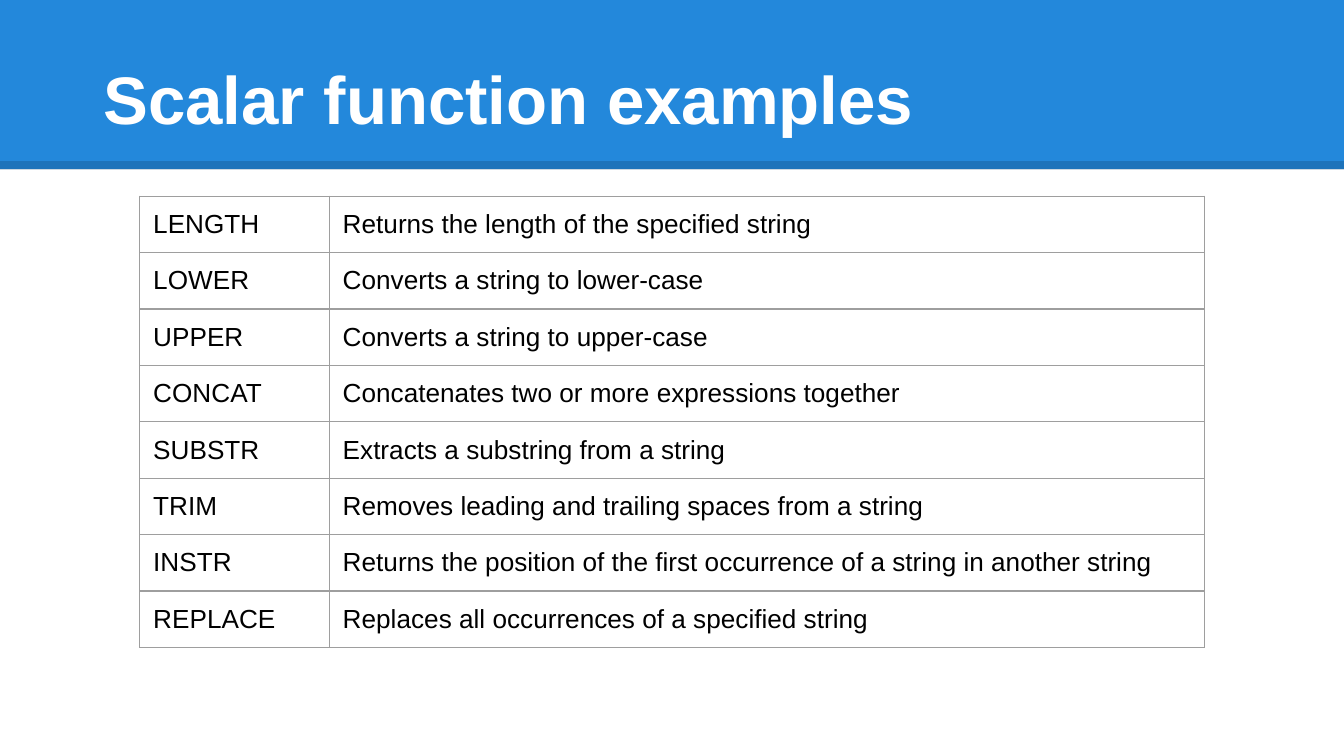
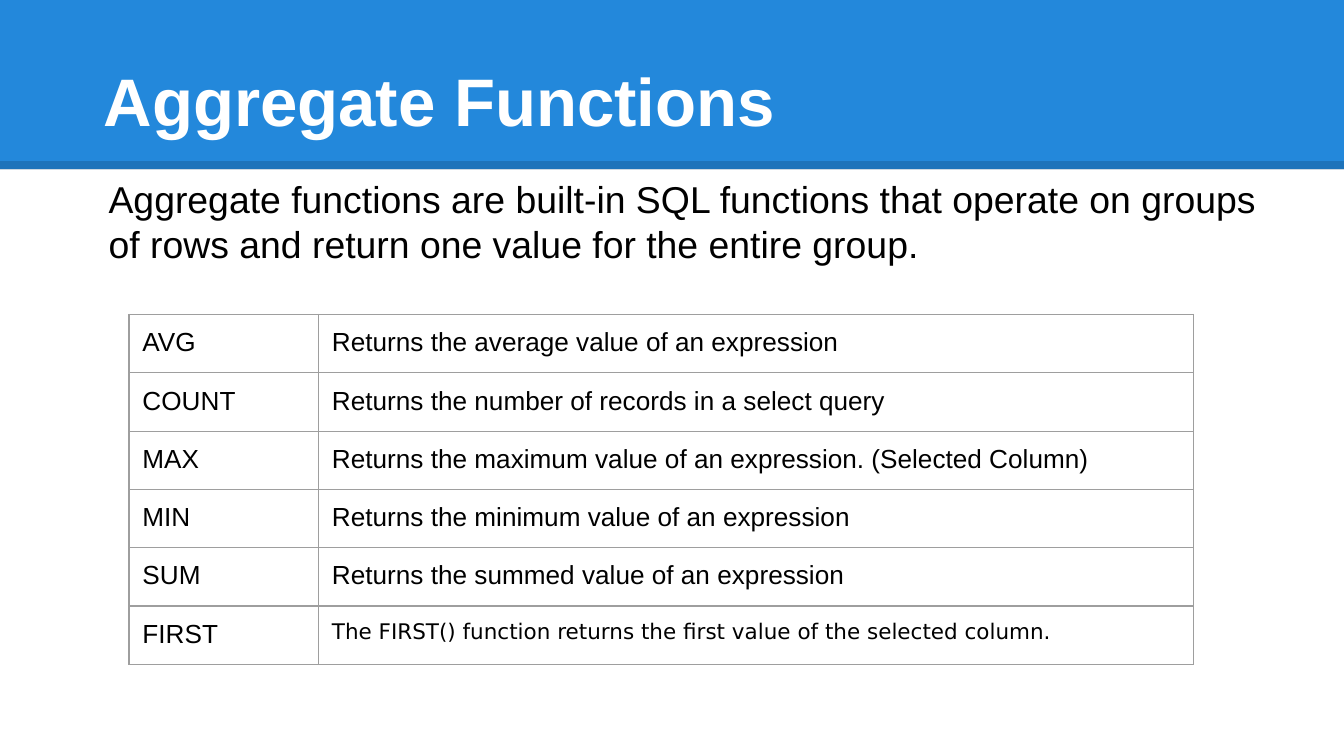
import pptx
import pptx.util
import pptx.dml.color
import pptx.enum.shapes
import pptx.enum.text
import pptx.oxml.ns
import lxml.etree

Inches = pptx.util.Inches
Pt = pptx.util.Pt
RGBColor = pptx.dml.color.RGBColor
qn = pptx.oxml.ns.qn

BLUE = RGBColor(0x23, 0x88, 0xDB)
BLACK = RGBColor(0x00, 0x00, 0x00)
WHITE = RGBColor(0xFF, 0xFF, 0xFF)
BORDER_GRAY = RGBColor(0x9E, 0x9E, 0x9E)

FONT = "Arial"
SLIDE_WIDTH = 10
SLIDE_HEIGHT = SLIDE_WIDTH * 9 / 16
COLUMN_WIDTHS = (1.41, 6.51)
ROW_HEIGHT = 0.42
CELL_MARGIN = 0.1
CELL_STYLE = (FONT, 14)
FIRST_STYLE = ("DejaVu Sans", 11.5)

SCALAR_FUNCTIONS = [
    ("LENGTH", "Returns the length of the specified string"),
    ("LOWER", "Converts a string to lower-case"),
    ("UPPER", "Converts a string to upper-case"),
    ("CONCAT", "Concatenates two or more expressions together"),
    ("SUBSTR", "Extracts a substring from a string"),
    ("TRIM", "Removes leading and trailing spaces from a string"),
    ("INSTR", "Returns the position of the first occurrence of a string in another string"),
    ("REPLACE", "Replaces all occurrences of a specified string"),
]
FIRST_DESCRIPTION = "The FIRST() function returns the first value of the selected column."
AGGREGATE_FUNCTIONS = [
    ("AVG", "Returns the average value of an expression"),
    ("COUNT", "Returns the number of records in a select query"),
    ("MAX", "Returns the maximum value of an expression. (Selected Column)"),
    ("MIN", "Returns the minimum value of an expression"),
    ("SUM", "Returns the summed value of an expression"),
    ("FIRST", FIRST_DESCRIPTION),
]
AGGREGATE_INTRO = (
    "Aggregate functions are built-in SQL functions that operate on groups "
    "of rows and return one value for the entire group."
)


def add_run(paragraph, text, size, color=BLACK, bold=False, font=FONT):
    run = paragraph.add_run()
    run.text = text
    run.font.name = font
    run.font.size = Pt(size)
    run.font.bold = bold
    run.font.color.rgb = color


def add_header_band(slide, width, height):
    """Draw the header once and move it to the layout that all slides share."""
    band = slide.shapes.add_shape(
        pptx.enum.shapes.MSO_SHAPE.RECTANGLE, 0, 0, Inches(width), Inches(height))
    band.shadow.inherit = False
    band.fill.solid()
    band.fill.fore_color.rgb = BLUE
    band.line.fill.background()

    # Translucent black edge along the bottom of the band
    edge_y = Inches(height - 0.03)
    edge = slide.shapes.add_connector(
        pptx.enum.shapes.MSO_CONNECTOR.STRAIGHT, 0, edge_y, Inches(width), edge_y)
    edge.line.width = Pt(4.5)
    edge.line.color.rgb = BLACK
    edge_color = edge.element.spPr.find(".//" + qn("a:srgbClr"))
    lxml.etree.SubElement(edge_color, qn("a:alpha"), val="15000")
    lxml.etree.SubElement(edge.element.spPr, qn("a:effectLst"))

    layout_tree = slide.slide_layout.shapes.element
    layout_tree.insert(2, band.element)
    layout_tree.insert(3, edge.element)


def set_title(slide, text, top):
    title = slide.shapes.title
    title.left, title.top = Inches(0.67), Inches(top)
    title.width, title.height = Inches(8.5), Inches(0.94)
    frame = title.text_frame
    frame.auto_size = pptx.enum.text.MSO_AUTO_SIZE.NONE
    frame.vertical_anchor = pptx.enum.text.MSO_ANCHOR.MIDDLE
    paragraph = frame.paragraphs[0]
    paragraph.alignment = pptx.enum.text.PP_ALIGN.LEFT
    add_run(paragraph, text, 36, WHITE, bold=True)


def add_intro(slide, text, left, top, width, height):
    intro = slide.shapes.add_textbox(
        Inches(left), Inches(top), Inches(width), Inches(height))
    frame = intro.text_frame
    frame.word_wrap = True
    frame.vertical_anchor = pptx.enum.text.MSO_ANCHOR.MIDDLE
    paragraph = frame.paragraphs[0]
    paragraph._p.get_or_add_pPr().set("marL", str(Inches(0.5)))
    add_run(paragraph, text, 20)


def style_cell(cell):
    cell.fill.background()
    cell.margin_left = cell.margin_right = Inches(CELL_MARGIN)
    cell.margin_top = cell.margin_bottom = Inches(CELL_MARGIN)
    # Borders come before the fill in the cell properties
    properties = cell._tc.get_or_add_tcPr()
    for position, side in enumerate(("a:lnL", "a:lnR", "a:lnT", "a:lnB")):
        border = lxml.etree.Element(qn(side), w=str(Pt(0.75)))
        fill = lxml.etree.SubElement(border, qn("a:solidFill"))
        lxml.etree.SubElement(fill, qn("a:srgbClr"), val=str(BORDER_GRAY))
        properties.insert(position, border)


def fill_cell(cell, text):
    font, size = FIRST_STYLE if text == FIRST_DESCRIPTION else CELL_STYLE
    paragraph = cell.text_frame.paragraphs[0]
    add_run(paragraph, text, size, font=font)
    # The paragraph end takes the text's size, so that it does not stretch the row
    end = lxml.etree.SubElement(
        paragraph._p, qn("a:endParaRPr"), sz=str(int(size * 100)))
    lxml.etree.SubElement(end, qn("a:latin"), typeface=font)


def add_function_table(slide, functions, left, top):
    table = slide.shapes.add_table(
        len(functions), len(COLUMN_WIDTHS), Inches(left), Inches(top),
        Inches(sum(COLUMN_WIDTHS)), Inches(ROW_HEIGHT * len(functions))).table
    table.first_row = table.horz_banding = False
    for column, width in zip(table.columns, COLUMN_WIDTHS):
        column.width = Inches(width)
    for row, texts in zip(table.rows, functions):
        row.height = Inches(ROW_HEIGHT)
        for cell, text in zip(row.cells, texts):
            style_cell(cell)
            fill_cell(cell, text)


def build_scalar_slide(slide):
    set_title(slide, "Scalar function examples", 0.26)
    add_function_table(slide, SCALAR_FUNCTIONS, 1.04, 1.46)


def build_aggregate_slide(slide):
    set_title(slide, "Aggregate Functions", 0.27)
    add_intro(slide, AGGREGATE_INTRO, 0.21, 1.26, 9.34, 0.77)
    add_function_table(slide, AGGREGATE_FUNCTIONS, 0.96, 2.34)


def main():
    deck = pptx.Presentation()
    deck.slide_width = Inches(SLIDE_WIDTH)
    deck.slide_height = Inches(SLIDE_HEIGHT)
    title_only = deck.slide_layouts.get_by_name("Title Only")

    scalar_slide = deck.slides.add_slide(title_only)
    add_header_band(scalar_slide, SLIDE_WIDTH, 1.26)
    build_scalar_slide(scalar_slide)
    build_aggregate_slide(deck.slides.add_slide(title_only))

    deck.save("out.pptx")


if __name__ == "__main__":
    main()
